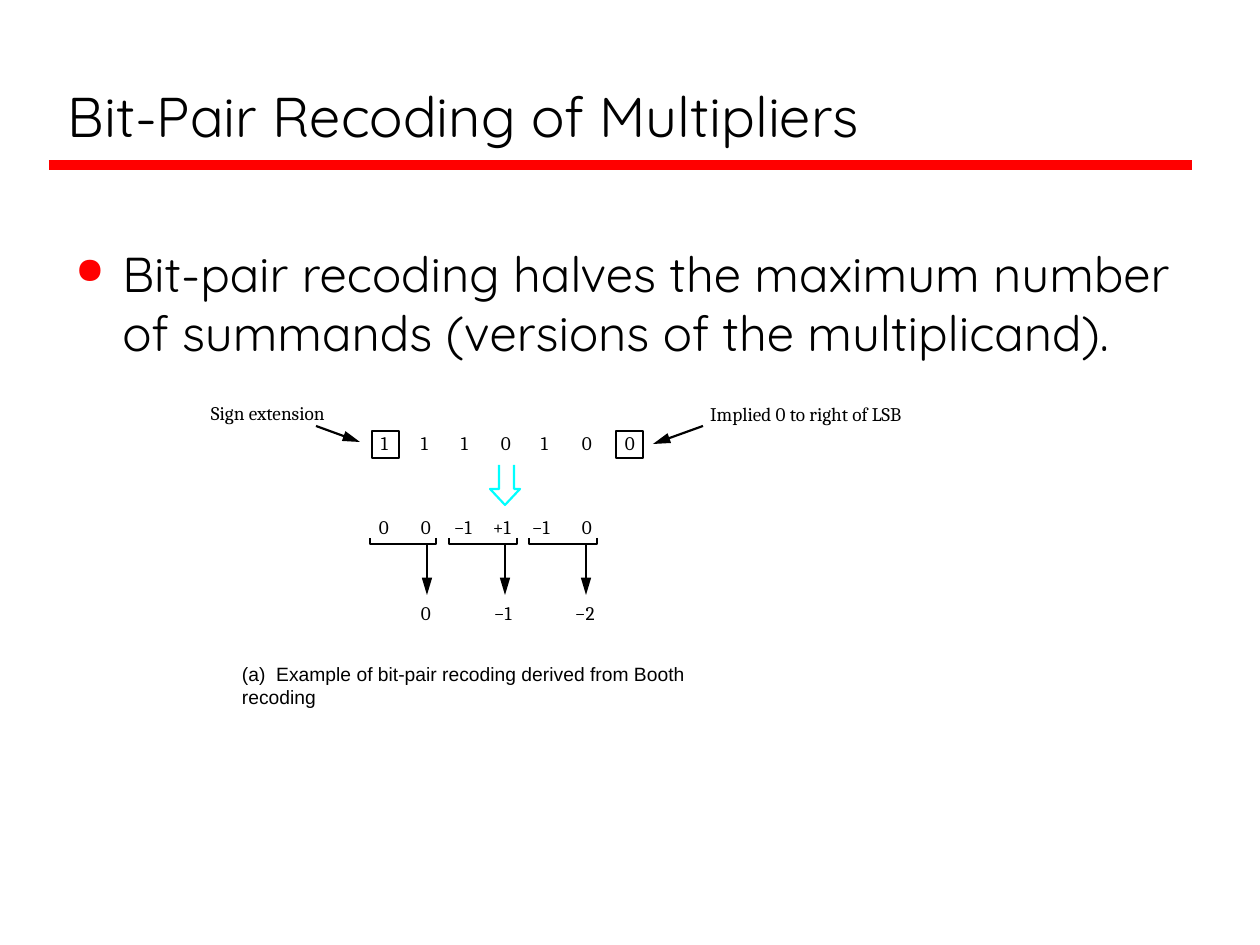
from dataclasses import dataclass

from lxml import etree
from pptx import Presentation
from pptx import util as u
from pptx.dml.color import RGBColor
from pptx.enum import shapes, text
from pptx.oxml.ns import qn

SCALE = 914400 / 126
BLACK, RED, CYAN = "000000", "FF0000", "00FFFF"
TITLE_FONT, DIGIT_FONT, CAPTION_FONT = "Quicksand", "Cambria", "Arial"
THIN = 1.25


@dataclass
class Label:
    """A small text and the place of its box."""
    words: str
    x: int
    y: int
    width: int
    font: str = DIGIT_FONT
    wrap: bool = False


@dataclass
class Pair:
    """A bracketed bit pair, its stem and its recoded digit."""
    left: int
    right: int
    stem: int
    digit: str
    digit_x: int


@dataclass
class Line:
    """A straight line, with or without an arrowhead at its end."""
    x1: int
    y1: int
    x2: int
    y2: int
    color: str = BLACK
    weight: float = THIN
    arrow: bool = True


def px(n: float) -> int:
    """Turn pixels into EMU."""
    return u.Emu(round(n * SCALE))


def rgb(color: str) -> RGBColor:
    """Turn a hex string into a colour."""
    return RGBColor.from_string(color)


def place(sp, x: int, y: int, width: int, height: int) -> None:
    """Move and size a shape."""
    sp.left, sp.top, sp.width, sp.height = map(px, (x, y, width, height))


def add_run(p, words: str, size: float, font: str) -> None:
    """Add one black run to a paragraph."""
    r = p.add_run()
    r.text = words
    r.font.size, r.font.name = u.Pt(size), font
    r.font.color.rgb = rgb(BLACK)


def outline(sp, color: str = BLACK) -> None:
    """Leave a shape unfilled, with a thin line and no shadow."""
    sp.shadow.inherit = False
    sp.fill.background()
    sp.line.color.rgb, sp.line.width = rgb(color), u.Pt(THIN)


def add_label(s, label: Label) -> None:
    """Draw a label in a box without margins."""
    tf = s.shapes.add_textbox(px(label.x), px(label.y), px(label.width), px(23)).text_frame
    tf.margin_left = tf.margin_right = tf.margin_top = tf.margin_bottom = 0
    tf.word_wrap = label.wrap
    add_run(tf.paragraphs[0], label.words, 11, label.font)


def add_line(s, line: Line) -> None:
    """Draw a connector."""
    c = s.shapes.add_connector(shapes.MSO_CONNECTOR.STRAIGHT,
                               *map(px, (line.x1, line.y1, line.x2, line.y2)))
    c.line.color.rgb, c.line.width = rgb(line.color), u.Pt(line.weight)
    if line.arrow:
        etree.SubElement(c.line._get_or_add_ln(), qn("a:tailEnd"),
                         type="triangle", w="med", len="lg")
    etree.SubElement(c._element.spPr, qn("a:effectLst"))


def add_path(s, points: list[tuple[int, int]], color: str = BLACK) -> None:
    """Draw an open outline through the points."""
    builder = s.shapes.build_freeform(*points[0], scale=SCALE)
    builder.add_line_segments(points[1:], close=False)
    outline(builder.convert_to_shape(), color)


def add_title(s, words: str) -> None:
    """Fill the title placeholder and draw the rule below it."""
    add_line(s, Line(49, 165, 1192, 165, RED, 6, False))
    sp = s.shapes.title
    place(sp, 55, 21, 1130, 134)
    tf = sp.text_frame
    tf.auto_size = text.MSO_AUTO_SIZE.NONE
    tf.vertical_anchor = text.MSO_ANCHOR.BOTTOM
    p = tf.paragraphs[0]
    p.alignment = text.PP_ALIGN.LEFT
    add_run(p, words, 32, TITLE_FONT)


def add_bullet(s, words: str) -> None:
    """Draw the body text with its red bullet."""
    tf = s.shapes.add_textbox(px(63), px(237), px(1134), px(162)).text_frame
    tf.word_wrap = True
    p = tf.paragraphs[0]
    p.space_before = u.Pt(5.6)
    add_run(p, words, 28, TITLE_FONT)
    pPr = p._p.get_or_add_pPr()
    pPr.set("marL", str(px(47)))
    pPr.set("indent", str(-px(47)))
    color = etree.SubElement(pPr, qn("a:buClr"))
    etree.SubElement(color, qn("a:srgbClr"), val=RED)
    etree.SubElement(pPr, qn("a:buSzPct"), val="75000")
    etree.SubElement(pPr, qn("a:buChar"), char="●")


def add_digits(s, digits: list[tuple[str, int]], y: int) -> None:
    """Draw a row of digits."""
    for words, x in digits:
        add_label(s, Label(words, x, y, 11 * len(words)))


def add_pair(s, pair: Pair) -> None:
    """Draw a bracket and the arrow to its recoded digit."""
    top, bottom = 538, 544
    add_path(s, [(pair.right, top), (pair.right, bottom),
                 (pair.left, bottom), (pair.left, top)])
    add_line(s, Line(pair.stem, bottom, pair.stem, 595))
    add_digits(s, [(pair.digit, pair.digit_x)], 601)


BITS = [("1", 381), ("1", 421), ("1", 461), ("0", 501), ("1", 541), ("0", 582), ("0", 625)]
BOOTH = [("0", 379), ("0", 421), ("−1", 454), ("+1", 493), ("−1", 532), ("0", 582)]
PAIRS = [Pair(370, 436, 427, "0", 421),
         Pair(449, 517, 505, "−1", 494),
         Pair(529, 597, 586, "−2", 575)]
LABELS = [Label("Sign extension", 211, 401, 126),
          Label("Implied 0 to right of LSB", 710, 402, 205),
          Label("(a)  Example of bit-pair recoding derived from Booth recoding",
                242, 662, 515, CAPTION_FONT, True)]
POINTERS = [Line(316, 426, 360, 442), Line(703, 426, 653, 444)]
DOWN_ARROW = [(514, 465), (514, 489), (520, 489), (505, 505),
              (490, 489), (499, 489), (499, 465)]


def main() -> None:
    """Build and save the slide."""
    prs = Presentation()
    prs.slide_width, prs.slide_height = px(1260), px(945)
    s = prs.slides.add_slide(prs.slide_layouts[5])
    add_title(s, "Bit-Pair Recoding of Multipliers")
    add_bullet(s, "Bit-pair recoding halves the maximum number of summands "
                  "(versions of the multiplicand).")
    for x in (372, 616):
        outline(s.shapes.add_shape(shapes.MSO_SHAPE.RECTANGLE,
                                   *map(px, (x, 431, 27, 27))))
    add_digits(s, BITS, 431)
    add_digits(s, BOOTH, 515)
    add_path(s, DOWN_ARROW, CYAN)
    for pair in PAIRS:
        add_pair(s, pair)
    for pointer in POINTERS:
        add_line(s, pointer)
    for label in LABELS:
        add_label(s, label)
    prs.save("out.pptx")


main()
